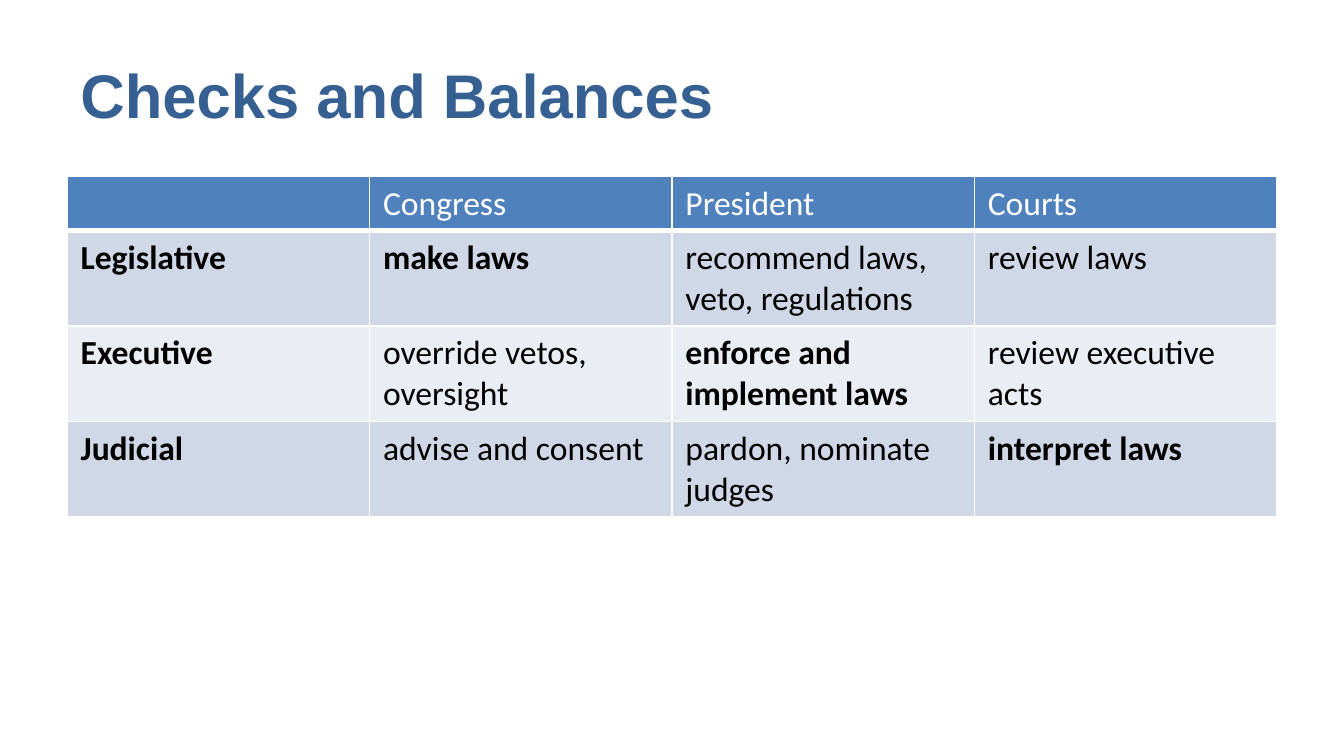
from lxml.etree import SubElement
from pptx import Presentation
from pptx.dml.color import RGBColor
from pptx.enum.text import MSO_ANCHOR
from pptx.oxml.ns import qn
from pptx.util import Pt

MARGIN, CONTENT_WIDTH = 36, 648
HEADER_HEIGHT, BRANCH_HEIGHT = 29, 51.2
WHITE, BLACK, HEADER_BLUE = "FFFFFF", "000000", "4F81BD"
BAND_FILLS = ["D0D8E8", "E9EDF4"]

HEADINGS = ["", "Congress", "President", "Courts"]
BRANCHES = [
    ["Legislative", "make laws", "recommend laws, veto, regulations", "review laws"],
    ["Executive", "override vetos, oversight", "enforce and implement laws",
     "review executive acts"],
    ["Judicial", "advise and consent", "pardon, nominate judges", "interpret laws"],
]


def color(hex_value):
    return RGBColor.from_string(hex_value)


def write_text(frame, text, size=18, font="Calibri", fill=BLACK, bold=False):
    frame.word_wrap = True
    if not text:
        return
    run = frame.paragraphs[0].add_run()
    run.text = text
    run.font.size = Pt(size)
    run.font.name = font
    run.font.bold = bold
    run.font.color.rgb = color(fill)


def add_title(slide, text):
    title = slide.shapes.add_textbox(Pt(MARGIN), Pt(16.5), Pt(CONTENT_WIDTH), Pt(67.5))
    title.text_frame.vertical_anchor = MSO_ANCHOR.MIDDLE
    write_text(title.text_frame, text, size=33, font="Arial", fill="376092", bold=True)


def set_borders(cell, bottom=1):
    properties = cell._tc.get_or_add_tcPr()
    for side, width in (("L", 1), ("R", 1), ("T", 1), ("B", bottom)):
        line = SubElement(properties, qn(f"a:ln{side}"), w=str(Pt(width)))
        solid = SubElement(line, qn("a:solidFill"))
        SubElement(solid, qn("a:srgbClr"), val=WHITE)


def fill_cell(cell, text, background, bottom=1, **text_format):
    set_borders(cell, bottom)
    cell.fill.solid()
    cell.fill.fore_color.rgb = color(background)
    write_text(cell.text_frame, text, **text_format)


def add_powers_table(slide):
    height = HEADER_HEIGHT + BRANCH_HEIGHT * len(BRANCHES)
    powers = slide.shapes.add_table(
        len(BRANCHES) + 1, len(HEADINGS),
        Pt(MARGIN), Pt(94.5), Pt(CONTENT_WIDTH), Pt(height)).table

    # Header row
    powers.rows[0].height = Pt(HEADER_HEIGHT)
    for column, heading in enumerate(HEADINGS):
        fill_cell(powers.cell(0, column), heading, HEADER_BLUE, bottom=3, fill=WHITE)

    # Branch rows: the branch name and its own power (the diagonal) are bold
    for row, branch in enumerate(BRANCHES, start=1):
        powers.rows[row].height = Pt(BRANCH_HEIGHT)
        band = BAND_FILLS[(row - 1) % len(BAND_FILLS)]
        for column, power in enumerate(branch):
            fill_cell(powers.cell(row, column), power, band, bold=column in (0, row))


def main():
    deck = Presentation()
    deck.slide_width, deck.slide_height = Pt(720), Pt(405)
    slide = deck.slides.add_slide(deck.slide_layouts[6])
    add_title(slide, "Checks and Balances")
    add_powers_table(slide)
    deck.save("out.pptx")


if __name__ == "__main__":
    main()
